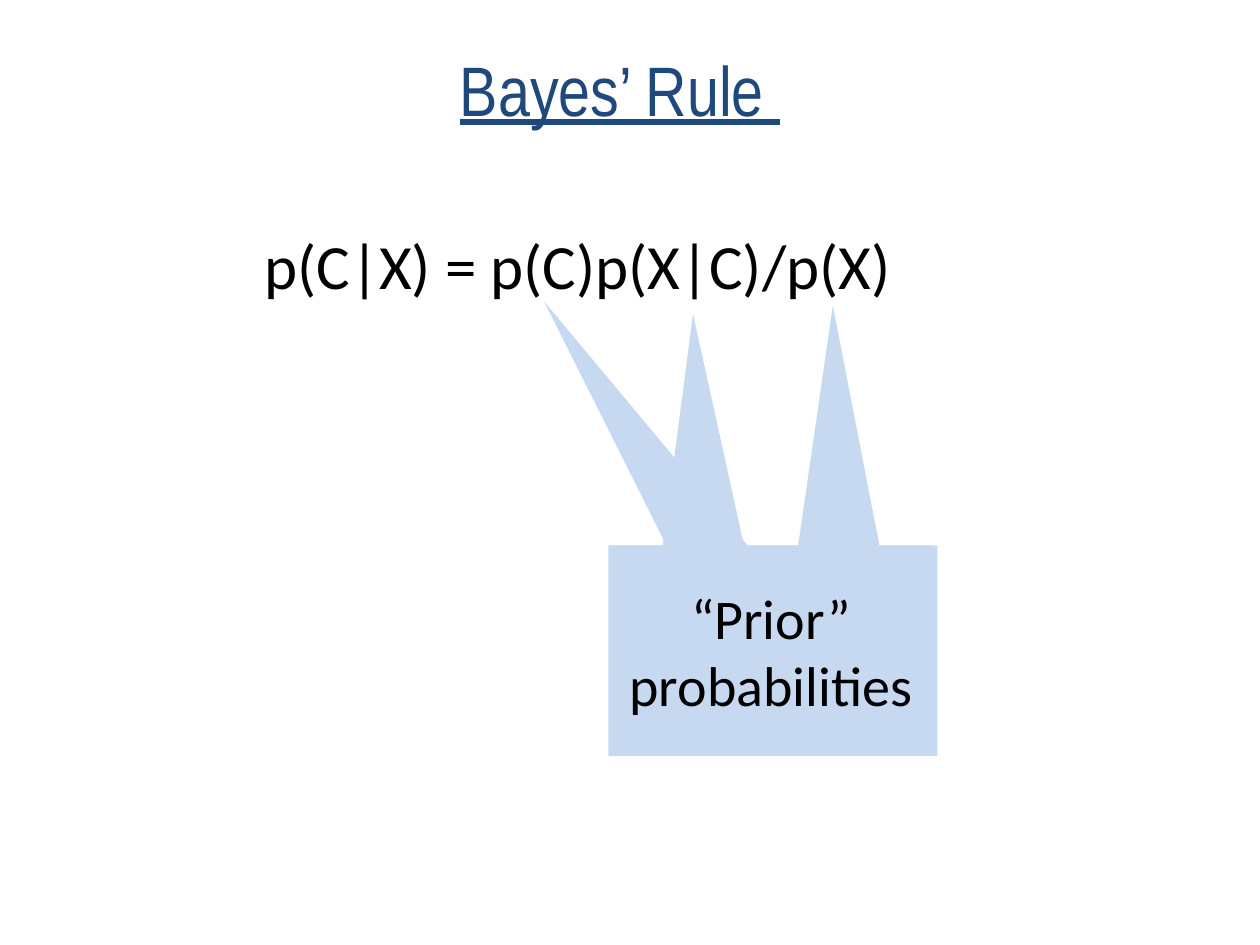
from dataclasses import dataclass

from pptx import Presentation
from pptx.dml.color import RGBColor
from pptx.enum.shapes import MSO_SHAPE
from pptx.enum.text import MSO_ANCHOR, PP_ALIGN
from pptx.slide import Slide
from pptx.text.text import TextFrame
from pptx.util import Inches, Pt

NAVY = RGBColor(0x1F, 0x49, 0x7D)
BLACK = RGBColor(0x00, 0x00, 0x00)
PALE_BLUE = RGBColor(0xC6, 0xD9, 0xF1)


@dataclass(frozen=True)
class TextStyle:
    font: str
    size: int
    color: RGBColor
    alignment: PP_ALIGN
    anchor: MSO_ANCHOR
    underline: bool = False


@dataclass(frozen=True)
class Callout:
    left: float
    tip_x: float
    tip_y: float


TITLE_STYLE = TextStyle("Arial Narrow", 40, NAVY, PP_ALIGN.CENTER, MSO_ANCHOR.MIDDLE, True)
FORMULA_STYLE = TextStyle("Calibri", 36, BLACK, PP_ALIGN.LEFT, MSO_ANCHOR.TOP)
CALLOUT_STYLE = TextStyle("Calibri", 32, BLACK, PP_ALIGN.CENTER, MSO_ANCHOR.MIDDLE)

CALLOUTS = [
    Callout(4.83, 0.19, -1.64),
    Callout(4.86, -0.71, -1.66),
    Callout(4.83, -0.24, -1.6),
]


def write_text(text_frame: TextFrame, text: str, style: TextStyle) -> None:
    text_frame.word_wrap = True
    text_frame.vertical_anchor = style.anchor
    text_frame.text = text
    paragraph = text_frame.paragraphs[0]
    paragraph.alignment = style.alignment
    font = paragraph.runs[0].font
    font.name = style.font
    font.size = Pt(style.size)
    font.color.rgb = style.color
    font.underline = style.underline


def add_text(slide: Slide, text: str, left: float, top: float,
             width: float, height: float, style: TextStyle) -> None:
    text_box = slide.shapes.add_textbox(
        Inches(left), Inches(top), Inches(width), Inches(height))
    write_text(text_box.text_frame, text, style)


def add_callout(slide: Slide, callout: Callout) -> None:
    shape = slide.shapes.add_shape(
        MSO_SHAPE.RECTANGULAR_CALLOUT,
        Inches(callout.left), Inches(4.33), Inches(2.58), Inches(1.67))
    shape.adjustments[0] = callout.tip_x
    shape.adjustments[1] = callout.tip_y
    shape.shadow.inherit = False
    shape.fill.solid()
    shape.fill.fore_color.rgb = PALE_BLUE
    shape.line.fill.background()
    write_text(shape.text_frame, "“Prior” probabilities", CALLOUT_STYLE)


def main() -> None:
    presentation = Presentation()
    presentation.slide_width = Inches(10)
    presentation.slide_height = Inches(7.5)
    slide = presentation.slides.add_slide(presentation.slide_layouts[6])
    add_text(slide, "Bayes’ Rule ", 0.42, 0.08, 9, 1.25, TITLE_STYLE)
    add_text(slide, "p(C|X) = p(C)p(X|C)/p(X)", 2, 1.75, 5.83, 0.71, FORMULA_STYLE)
    for callout in CALLOUTS:
        add_callout(slide, callout)
    presentation.save("out.pptx")


if __name__ == "__main__":
    main()
